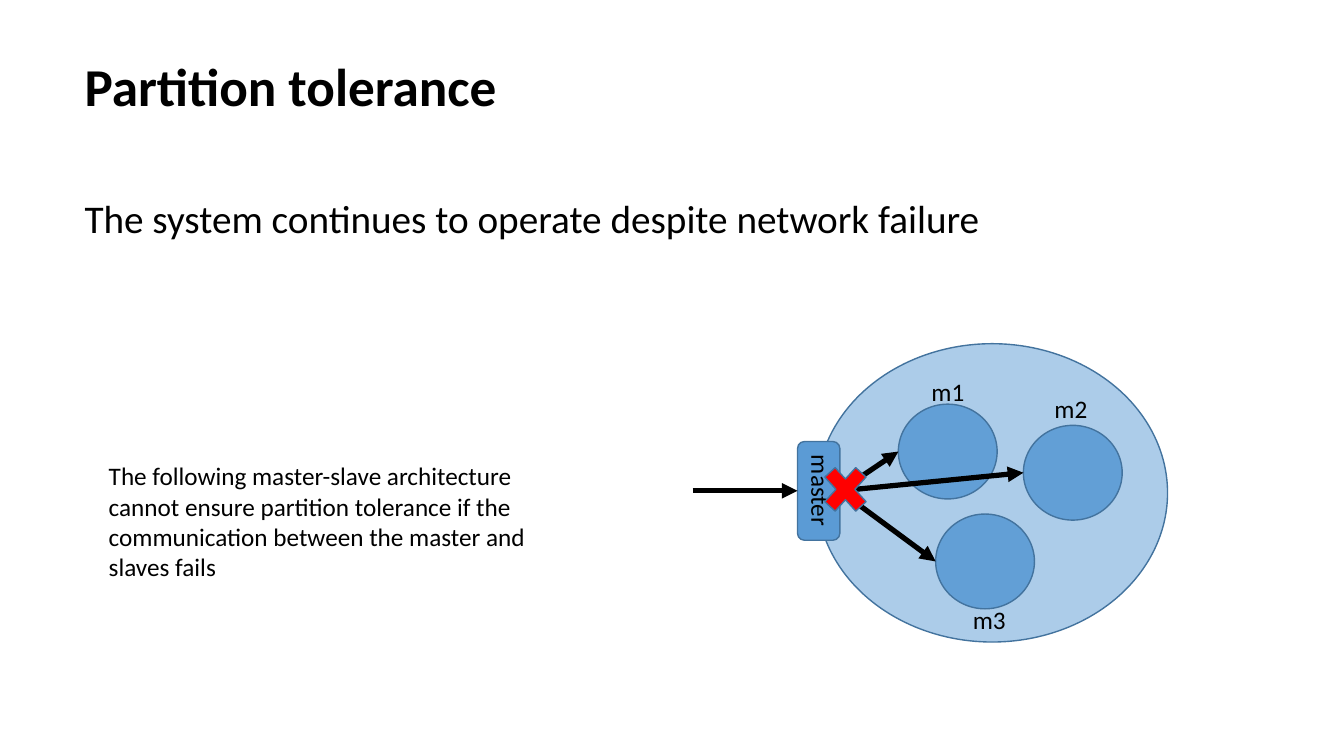
from lxml import etree
from pptx import Presentation
from pptx.dml.color import RGBColor
from pptx.enum.shapes import MSO_CONNECTOR, MSO_SHAPE
from pptx.enum.text import MSO_ANCHOR
from pptx.oxml.ns import qn
from pptx.util import Inches, Pt

# Content: text, (left, top, width, height), size, bold
TITLE = ("Partition tolerance", (0.74, 0.31, 5.21, 1.07), 38, True)
STATEMENT = ("The system continues to operate despite network failure",
             (0.74, 1.93, 11.5, 4.76), 28, False)
EXPLANATION = ("The following master-slave architecture cannot ensure partition "
               "tolerance if the communication between the master and slaves fails",
               (0.98, 4.52, 4.81, 1.31), 18, False)

# Diagram: node name, node left and top, label left and top
NODES = [
    ("m1", (8.91, 4.01), (9.14, 3.68)),
    ("m2", (10.15, 4.22), (10.36, 3.85)),
    ("m3", (9.28, 5.1), (9.55, 5.95)),
]
NODE_SIZE = (0.98, 0.94)
LABEL_SIZE = (0.95, 0.4)
LABEL_POINTS = 18
CLUSTER_BOX = (8.1, 3.41, 3.48, 2.96)
MASTER_BOX = (7.91, 4.38, 0.42, 0.98)
MASTER_LABEL = ("master", (7.67, 4.69))
FAILURE_BOX = (8.09, 4.53, 0.59, 0.65)
REQUEST_LEFT = 6.87

BLUE, OUTLINE, BLACK, RED = "5B9BD5", "43739E", "000000", "FF0000"


def color(hex_text):
    return RGBColor.from_string(hex_text)


def add_text(slide, text, box, size, bold=False):
    shape = slide.shapes.add_textbox(*map(Inches, box))
    shape.text_frame.word_wrap = True
    shape.text_frame.text = text
    font = shape.text_frame.paragraphs[0].runs[0].font
    font.name, font.size, font.bold = "Calibri", Pt(size), bold
    font.color.rgb = color(BLACK)
    return shape


def add_figure(slide, kind, box, fill, opacity=100):
    shape = slide.shapes.add_shape(kind, *map(Inches, box))
    shape.shadow.inherit = False
    shape.fill.solid()
    shape.fill.fore_color.rgb = color(fill)
    shape.line.color.rgb = color(OUTLINE)
    shape.line.width = Pt(1)
    if opacity < 100:
        fill_color = shape._element.spPr.find(qn("a:solidFill"))[0]
        etree.SubElement(fill_color, qn("a:alpha"), val=str(opacity * 1000))
    return shape


def add_arrow(slide, start, end):
    arrow = slide.shapes.add_connector(MSO_CONNECTOR.STRAIGHT,
                                       *map(Inches, start + end))
    arrow.line.color.rgb = color(BLACK)
    arrow.line.width = Pt(3.75)
    etree.SubElement(arrow.line._get_or_add_ln(), qn("a:tailEnd"), type="triangle")
    etree.SubElement(arrow._element.spPr, qn("a:effectLst"))
    return arrow


def main():
    presentation = Presentation()
    presentation.slide_width = Inches(13.33)
    presentation.slide_height = Inches(7.5)
    slide = presentation.slides.add_slide(presentation.slide_layouts[6])

    # Text
    title = add_text(slide, *TITLE)
    title.text_frame.vertical_anchor = MSO_ANCHOR.MIDDLE
    statement = add_text(slide, *STATEMENT)
    statement.text_frame.paragraphs[0].line_spacing = 0.9
    add_text(slide, *EXPLANATION)

    # Cluster with its nodes
    add_figure(slide, MSO_SHAPE.OVAL, CLUSTER_BOX, BLUE, 50)
    for name, corner, label_corner in NODES:
        add_figure(slide, MSO_SHAPE.OVAL, corner + NODE_SIZE, BLUE, 90)
        add_text(slide, name, label_corner + LABEL_SIZE, LABEL_POINTS)

    # Master, the incoming request and the links to the nodes
    master = add_figure(slide, MSO_SHAPE.ROUNDED_RECTANGLE, MASTER_BOX, BLUE)
    left, top, width, height = MASTER_BOX
    middle = top + height / 2
    request = add_arrow(slide, (REQUEST_LEFT, middle), (left, middle))
    request.end_connect(master, 1)
    for name, (node_left, node_top), label_corner in NODES:
        link = add_arrow(slide, (left + width, middle),
                         (node_left, node_top + NODE_SIZE[1] / 2))
        link.begin_connect(master, 3)
    name, corner = MASTER_LABEL
    add_text(slide, name, corner + LABEL_SIZE, LABEL_POINTS).rotation = 90

    # Failure mark
    add_figure(slide, MSO_SHAPE.MATH_MULTIPLY, FAILURE_BOX, RED)

    presentation.save("out.pptx")


if __name__ == "__main__":
    main()
